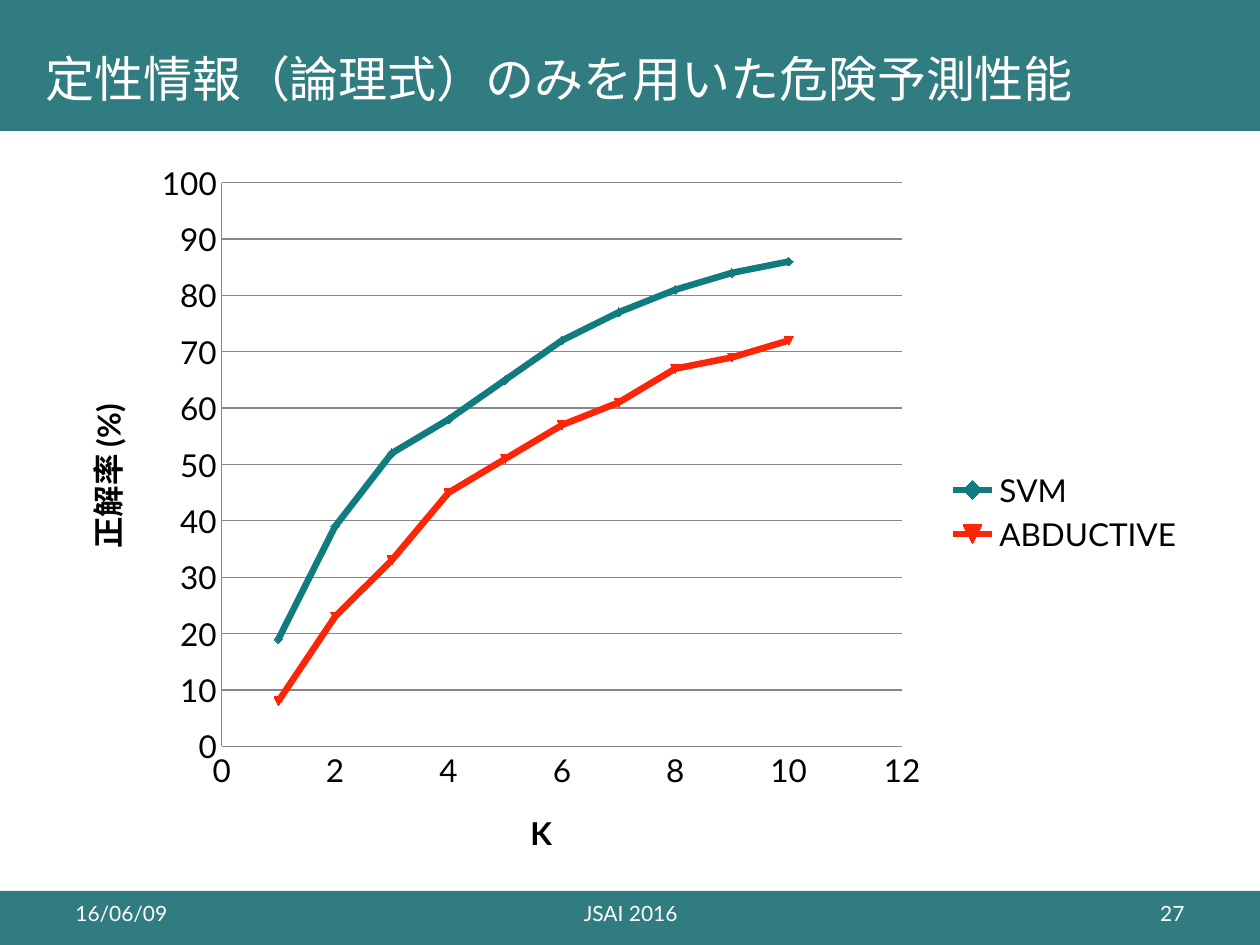
from lxml import etree
from pptx import Presentation
from pptx.chart.data import XyChartData
from pptx.dml.color import RGBColor
from pptx.enum.chart import XL_CHART_TYPE as Kind, XL_LEGEND_POSITION as Side
from pptx.enum.chart import XL_TICK_MARK as Tick
from pptx.enum.shapes import MSO_SHAPE as Form
from pptx.enum.text import MSO_ANCHOR as Anchor, PP_ALIGN as Align
from pptx.oxml import parse_xml
from pptx.util import Inches, Pt

W, H = 10, 7.5
FACE = "Lato"
TEAL, WHITE, BLACK, GRAY = "307C80", "FFFFFF", "000000", "878787"
NS = "http://schemas.openxmlformats.org/drawingml/2006/chart"
SERIES = {
    "SVM": ("107C7F", [19, 39, 52, 58, 65, 72, 77, 81, 84, 86]),
    "ABDUCTIVE": ("FC2507", [8, 23, 33, 45, 51, 57, 61, 67, 69, 72]),
}


def color(code):
    return RGBColor.from_string(code)


def style(font, code, **form):
    for key, value in {"name": FACE, **form}.items():
        setattr(font, key, value)
    font.color.rgb = color(code)


def write(shape, text, size, align=Align.LEFT, anchor=Anchor.TOP):
    frame = shape.text_frame
    for key, value in {"word_wrap": True, "vertical_anchor": anchor}.items():
        setattr(frame, key, value)
    para = frame.paragraphs[0]
    para.alignment = align
    run = para.add_run()
    run.text = text
    style(run.font, WHITE, size=Pt(size))


def add_band(slide, top, height):
    edge = 0.09
    band = slide.shapes.add_shape(Form.RECTANGLE, Inches(-edge), Inches(top),
                                  Inches(W + 2 * edge), Inches(height))
    band.shadow.inherit = False
    band.fill.solid()
    band.fill.fore_color.rgb = color(TEAL)
    band.line.fill.background()


def set_title(slide, text):
    title = slide.shapes.title
    box = {"left": 0.26, "top": 0.3, "width": W - 0.52, "height": 0.64}
    for key, value in box.items():
        setattr(title, key, Inches(value))
    write(title, text, 28, anchor=Anchor.MIDDLE)
    # Bring the title in front of the bands
    slide.shapes._spTree.append(title._element)


def set_axis(axis, name, top, step):
    form = {"minimum_scale": 0, "maximum_scale": top, "major_unit": step,
            "major_tick_mark": Tick.NONE, "minor_tick_mark": Tick.NONE,
            "has_major_gridlines": False}
    for key, value in form.items():
        setattr(axis, key, value)
    axis.tick_labels.number_format = "0"
    axis.tick_labels.number_format_is_linked = False
    axis.format.line.color.rgb = color(GRAY)
    frame = axis.axis_title.text_frame
    frame.text = name
    style(frame.paragraphs[0].runs[0].font, BLACK, size=Pt(18), bold=True)


def set_plot(chart, **shares):
    """Fix the inner plot area as shares of the chart."""
    area = chart._chartSpace.chart.plotArea
    for old in area.findall(f"{{{NS}}}layout"):
        area.remove(old)
    layout = parse_xml(f'<c:layout xmlns:c="{NS}"><c:manualLayout/></c:layout>')
    modes = {"layoutTarget": "inner", "xMode": "edge", "yMode": "edge"}
    for key, value in {**modes, **shares}.items():
        etree.SubElement(layout[0], f"{{{NS}}}{key}").set("val", str(value))
    area.insert(0, layout)


def add_graph(slide):
    data = XyChartData()
    for name, (_, rates) in SERIES.items():
        line = data.add_series(name)
        for k, rate in enumerate(rates, 1):
            line.add_data_point(k, rate)
    chart = slide.shapes.add_chart(
        Kind.XY_SCATTER_SMOOTH, Inches(0.05 * W), Inches(1.16),
        Inches(0.9 * W), Inches(5.81), data).chart
    chart.has_title = False
    style(chart.font, BLACK, size=Pt(18))

    # Axes and grid
    set_axis(chart.category_axis, "K", 12, 2)
    rate_axis = chart.value_axis
    set_axis(rate_axis, "正解率 (%)", 100, 10)
    rate_axis.has_major_gridlines = True
    rate_axis.major_gridlines.format.line.color.rgb = color(GRAY)
    set_plot(chart, x=0.14, y=0.05, w=0.6, h=0.77)

    # Legend and curves
    chart.has_legend = True
    chart.legend.position = Side.RIGHT
    chart.legend.include_in_layout = False
    plot = chart.plots[0]
    plot.vary_by_categories = False
    for line, (code, _) in zip(plot.series, SERIES.values()):
        line.format.line.width = Pt(3.75)
        line.format.line.color.rgb = color(code)
        line.marker.size = 5
        line.marker.format.fill.solid()
        line.marker.format.fill.fore_color.rgb = color(code)
        line.marker.format.line.color.rgb = color(code)


def add_foot(slide):
    parts = [(0.5, 2.33, "16/06/09", Align.LEFT),
             (3.42, 3.17, "JSAI 2016", Align.CENTER),
             (7.17, 2.33, "27", Align.RIGHT)]
    for left, width, text, align in parts:
        box = slide.shapes.add_textbox(Inches(left), Inches(7.1),
                                       Inches(width), Inches(0.4))
        write(box, text, 12, align)


def main():
    deck = Presentation()
    deck.slide_width, deck.slide_height = Inches(W), Inches(H)
    slide = deck.slides.add_slide(deck.slide_layouts[5])
    for top, height in [(0, 1.04), (7.07, 0.66)]:
        add_band(slide, top, height)
    add_graph(slide)
    add_foot(slide)
    set_title(slide, "定性情報（論理式）のみを用いた危険予測性能")
    deck.save("out.pptx")


if __name__ == "__main__":
    main()
